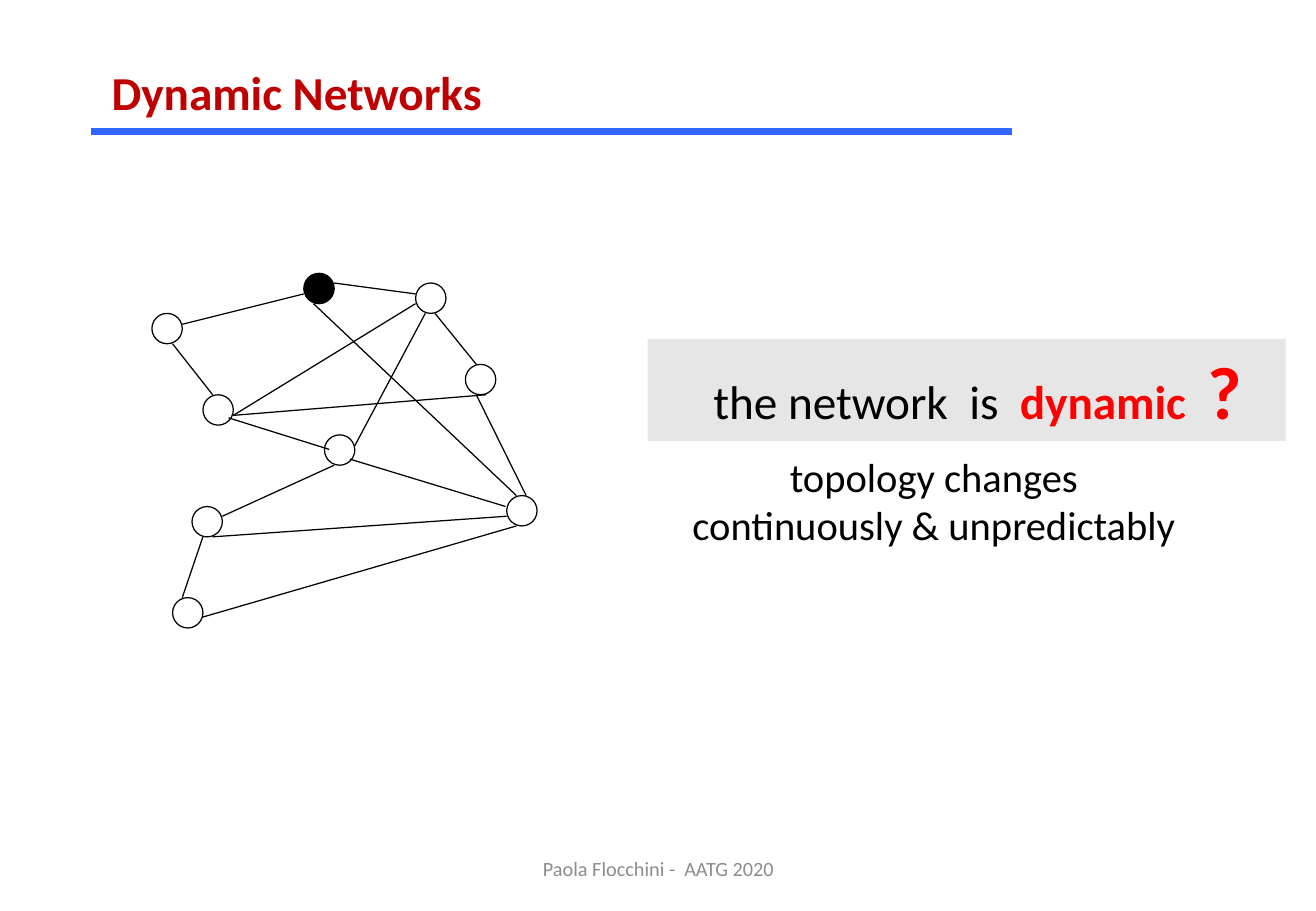
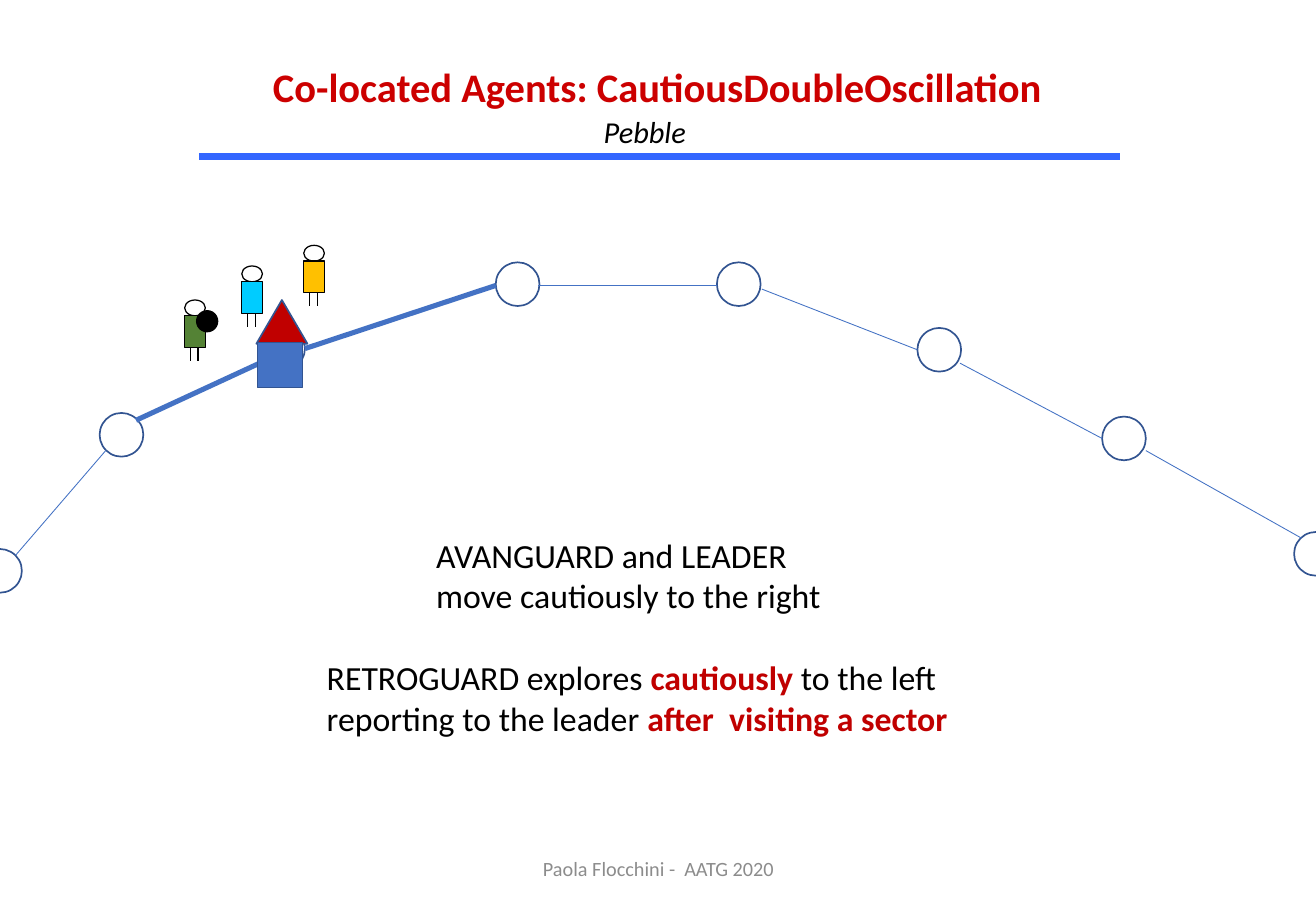
from lxml import etree
from pptx import Presentation
from pptx.dml.color import RGBColor
from pptx.enum import shapes, text
from pptx.oxml import ns
from pptx.util import Inches, Pt

FONT = "Calibri"
COLOURS = {
    "black": "000000", "white": "FFFFFF", "grey": "8C8C8C", "panel": "E7E6E6",
    "crimson": "C00000", "title_red": "CC0000", "red": "FF0000",
    "rule": "3366FF", "path_blue": "4472C4", "outline": "325491",
    "amber": "FFC000", "green": "548235", "cyan": "00CCFF",
}
OVAL = shapes.MSO_SHAPE.OVAL
RECT = shapes.MSO_SHAPE.RECTANGLE
TRIANGLE = shapes.MSO_SHAPE.ISOSCELES_TRIANGLE
CENTRE = text.PP_ALIGN.CENTER
LEFT = text.PP_ALIGN.LEFT


def rgb(name):
    return RGBColor.from_string(COLOURS[name])


# Basic elements
def add_figure(slide, preset, box, fill=None, line=None, width=0.75):
    figure = slide.shapes.add_shape(preset, *map(Inches, box))
    figure.shadow.inherit = False
    if fill:
        figure.fill.solid()
        figure.fill.fore_color.rgb = rgb(fill)
    else:
        figure.fill.background()
    if line:
        figure.line.color.rgb = rgb(line)
        figure.line.width = Pt(width)
    else:
        figure.line.fill.background()
    return figure


def add_line(slide, start, end, colour="black", width=0.75):
    line = slide.shapes.add_connector(
        shapes.MSO_CONNECTOR.STRAIGHT, *map(Inches, (*start, *end)))
    line.line.color.rgb = rgb(colour)
    line.line.width = Pt(width)
    etree.SubElement(line.element.spPr, ns.qn("a:effectLst"))


def write(frame, paragraphs, size, align=LEFT, anchor=text.MSO_ANCHOR.TOP,
          wrap=True, inset=0.1):
    """Each paragraph is a list of (words, colour, *options);
    options are "bold", "italic" or a size in points."""
    frame.word_wrap = wrap
    frame.vertical_anchor = anchor
    frame.margin_left = Inches(inset)
    for index, runs in enumerate(paragraphs):
        paragraph = frame.add_paragraph() if index else frame.paragraphs[0]
        paragraph.alignment = align
        for words, colour, *options in runs:
            run = paragraph.add_run()
            run.text = words
            run.font.name = FONT
            run.font.color.rgb = rgb(colour)
            run.font.bold = "bold" in options
            run.font.italic = "italic" in options
            sizes = [o for o in options if not isinstance(o, str)]
            run.font.size = Pt(sizes[0] if sizes else size)


def add_text(slide, box, paragraphs, size, **layout):
    label = slide.shapes.add_textbox(*map(Inches, box))
    write(label.text_frame, paragraphs, size, **layout)


# Parts shared by the slides
def start_slide(deck, rule_start):
    slide = deck.slides.add_slide(deck.slide_layouts[6])
    add_text(slide, (3.59, 6.95, 3.66, 0.4),
             [[("Paola Flocchini -  AATG 2020", "grey")]], 12,
             align=CENTRE, anchor=text.MSO_ANCHOR.MIDDLE)
    x, y = rule_start
    add_line(slide, (x, y), (x + 7.58, y), "rule", 4)
    return slide


def add_nodes(slide, corners, size, **style):
    for x, y in corners:
        add_figure(slide, OVAL, (x, y, size, size), **style)


# Parts of the ring slide
def add_agent(slide, x, y, colour):
    add_figure(slide, OVAL, (x, y, 0.17, 0.13), line="black")
    add_figure(slide, RECT, (x, y + 0.13, 0.17, 0.26), colour, "black")
    for leg in (x + 0.05, x + 0.11):
        add_line(slide, (leg, y + 0.39), (leg, y + 0.5))


def add_home_base(slide):
    add_figure(slide, TRIANGLE, (2.11, 2.47, 0.42, 0.36), "crimson", "outline", 1)
    add_figure(slide, RECT, (2.12, 2.82, 0.37, 0.37), "path_blue", "outline", 1)


def build_networks(deck):
    slide = start_slide(deck, (0.75, 1.08))
    add_text(slide, (0.82, 0.47, 3.28, 0.57),
             [[("Dynamic Networks", "crimson", "bold")]], 28, wrap=False)

    # Network graph
    add_nodes(slide, [(1.25, 2.58), (3.83, 3), (1.67, 3.25), (2.67, 3.58),
                      (3.42, 2.33), (1.58, 4.17), (4.17, 4.08), (1.42, 4.92)],
              0.25, line="black")
    add_nodes(slide, [(2.5, 2.25)], 0.25, fill="black", line="black")
    edges = [
        ((1.5, 2.67), (2.5, 2.42)), ((1.42, 2.83), (1.75, 3.25)),
        ((3.58, 2.58), (3.92, 3)), ((2.58, 2.5), (4.25, 4.08)),
        ((1.83, 4.25), (2.75, 3.83)), ((1.92, 3.42), (3.42, 2.5)),
        ((2.75, 2.33), (3.42, 2.42)), ((1.75, 4.42), (4.17, 4.25)),
        ((1.92, 3.42), (4, 3.25)), ((3.92, 3.25), (4.33, 4.08)),
        ((3.5, 2.58), (2.92, 3.67)), ((1.67, 4.42), (1.5, 4.92)),
        ((1.67, 5.08), (4.25, 4.33)), ((1.88, 3.44), (2.71, 3.7)),
        ((2.88, 3.78), (4.16, 4.17)),
    ]
    for start, end in edges:
        add_line(slide, start, end)

    # Question and explanation
    add_text(slide, (5.5, 3.67, 4.33, 0.91),
             [[("topology changes continuously & unpredictably", "black")]], 24,
             align=CENTRE, inset=0.14)
    question = add_figure(slide, RECT, (5.33, 2.79, 5.25, 0.84), "panel")
    write(question.text_frame,
          [[("the network  is  ", "black"), ("dynamic  ", "red", "bold"),
            ("?", "red", "bold", 44)]], 28, inset=0.54)


def build_oscillation(deck):
    slide = start_slide(deck, (1.64, 1.29))
    add_text(slide, (2.14, 0.46, 6.54, 0.5),
             [[("Co-located Agents: CautiousDoubleOscillation",
                "title_red", "bold")]], 24, align=CENTRE)
    add_text(slide, (4.87, 0.88, 1.06, 0.4),
             [[("Pebble", "black", "italic")]], 18)

    # Ring of nodes, with the explored links thicker
    add_nodes(slide, [(-0.18, 4.52), (0.82, 3.4), (2.15, 2.69), (4.08, 2.16),
                      (5.9, 2.16), (7.55, 2.7), (9.07, 3.43), (10.65, 4.38)],
              0.36, fill="white", line="outline", width=1)
    links = [
        ((0.13, 4.57), (0.87, 3.71), 0.5), ((1.12, 3.46), (2.18, 2.97), 3),
        ((2.51, 2.87), (4.08, 2.35), 3), ((4.43, 2.35), (5.9, 2.35), 0.5),
        ((6.27, 2.38), (7.55, 2.88), 0.5), ((7.9, 2.99), (9.07, 3.61), 0.5),
        ((9.43, 3.71), (10.71, 4.43), 0.5),
    ]
    for start, end, width in links:
        add_line(slide, start, end, "path_blue", width)

    # Home base, agents and pebble
    add_home_base(slide)
    for x, y, colour in [(2.5, 2.02, "amber"), (1.52, 2.47, "green"),
                         (1.99, 2.19, "cyan")]:
        add_agent(slide, x, y, colour)
    add_nodes(slide, [(1.62, 2.56)], 0.17, fill="black", line="black", width=1)

    # Roles of the agents
    add_text(slide, (3.49, 4.35, 3.48, 0.77),
             [[("AVANGUARD and LEADER", "black")],
              [("move cautiously to the right", "black")]], 20)
    add_text(slide, (2.59, 5.36, 5.65, 0.77),
             [[("RETROGUARD explores ", "black"),
               ("cautiously", "crimson", "bold"),
               (" to the left reporting to the leader", "black"),
               (" after  visiting a sector", "crimson", "bold")]], 20)


def main():
    deck = Presentation()
    deck.slide_width, deck.slide_height = Inches(10.83), Inches(7.5)
    build_networks(deck)
    build_oscillation(deck)
    deck.save("out.pptx")


main()
